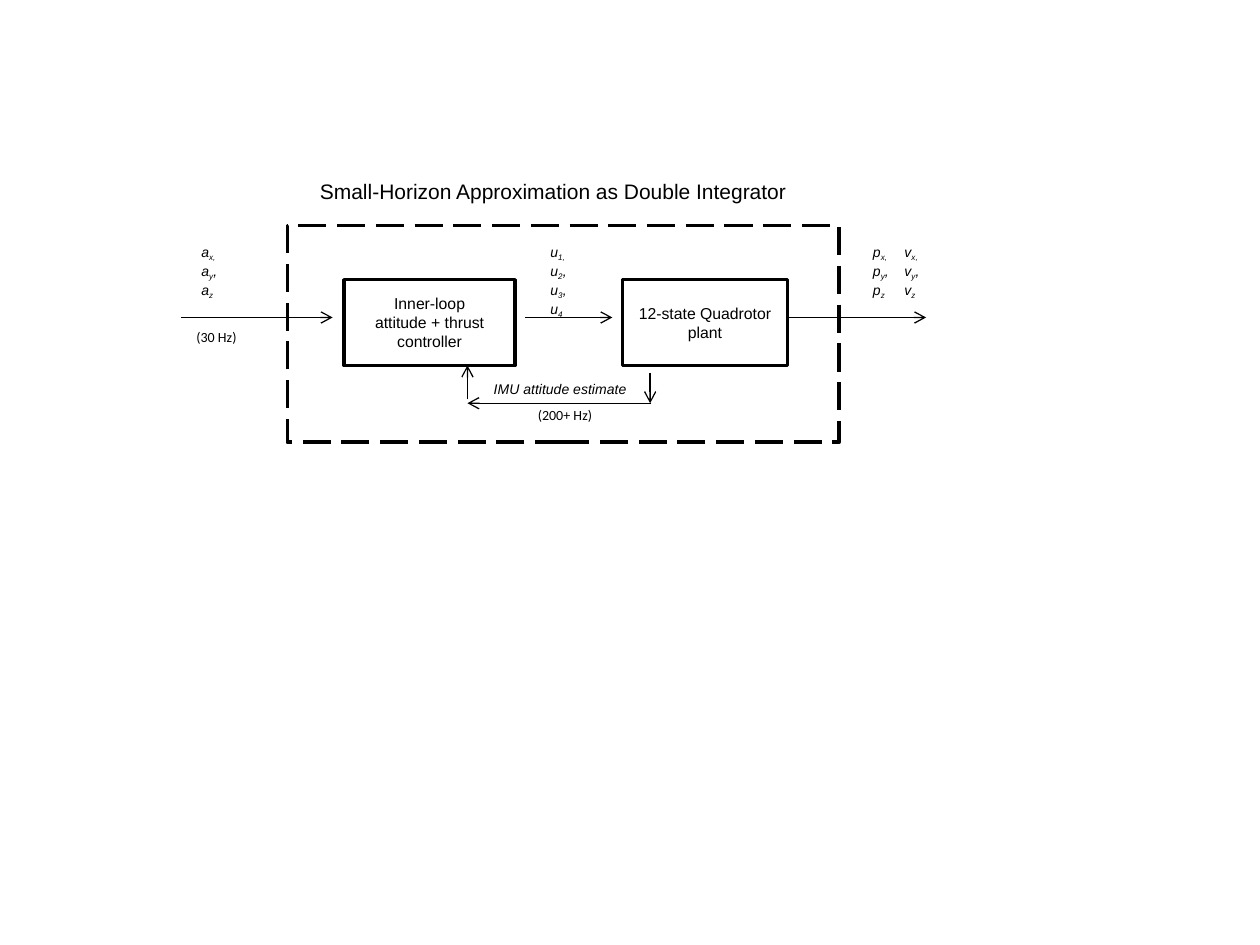
from pptx import Presentation
from pptx.dml.color import RGBColor
from pptx.enum.dml import MSO_LINE
from pptx.enum.shapes import MSO_CONNECTOR, MSO_SHAPE
from pptx.enum.text import MSO_ANCHOR, MSO_AUTO_SIZE, PP_ALIGN
from pptx.oxml.ns import qn
from pptx.util import Pt
from lxml.etree import SubElement

SCALE = 9144  # EMU per px, 100 px to the inch
COLORS = {"ink": "000000", "paper": "FFFFFF"}


def px(*vals):
    return [val * SCALE for val in vals]


def hue(name):
    return RGBColor.from_string(COLORS[name])


class Board:
    """Holds the style and the current slide."""
    face = "Arial"
    thin, thick = Pt(0.75), Pt(2)

    def __init__(self, slide):
        self.slide = slide

    def label(self, frame, lines, size, face=None, slant=None, align=None):
        """Fill a frame; every second part between bars is a subscript."""
        for num, line in enumerate(lines):
            para = frame.add_paragraph() if num else frame.paragraphs[0]
            para.alignment = align
            font = para.font
            font.name, font.size, font.italic = face or self.face, Pt(size), slant
            font.color.rgb = hue("ink")
            for spot, part in enumerate(line.split("|")):
                if part:
                    run = para.add_run()
                    run.text = part
                    if spot % 2:
                        run.font._element.set("baseline", "-25000")

    def text(self, box, lines, size=8, wrap=True, **style):
        frame = self.slide.shapes.add_textbox(*px(*box)).text_frame
        frame.word_wrap = wrap
        frame.auto_size = MSO_AUTO_SIZE.SHAPE_TO_FIT_TEXT
        self.label(frame, lines, size, **style)

    def rect(self, box):
        shape = self.slide.shapes.add_shape(MSO_SHAPE.RECTANGLE, *px(*box))
        shape.shadow.inherit = False
        shape.line.color.rgb = hue("ink")
        shape.line.width = self.thick
        return shape

    def block(self, box, lines):
        shape = self.rect(box)
        shape.fill.solid()
        shape.fill.fore_color.rgb = hue("paper")
        shape.text_frame.word_wrap = True
        shape.text_frame.vertical_anchor = MSO_ANCHOR.MIDDLE
        self.label(shape.text_frame, lines, 9, align=PP_ALIGN.CENTER)

    def border(self, box):
        shape = self.rect(box)
        shape.fill.background()
        shape.line.dash_style = MSO_LINE.LONG_DASH

    def arrow(self, *ends):
        link = self.slide.shapes.add_connector(MSO_CONNECTOR.STRAIGHT, *px(*ends))
        link.line.color.rgb = hue("ink")
        link.line.width = self.thin
        SubElement(link.line._get_or_add_ln(), qn("a:tailEnd"), type="arrow")
        SubElement(link._element.spPr, qn("a:effectLst"))


def main():
    deck = Presentation()
    deck.slide_width, deck.slide_height = px(1000, 750)
    board = Board(deck.slides.add_slide(deck.slide_layouts[6]))

    # Controller and plant
    board.block((273, 222, 136, 68), ["Inner-loop", "attitude + thrust controller"])
    board.block((494, 222, 131, 68), ["12-state Quadrotor", "plant"])

    # Forward signals
    flow = 252
    for start, end in ((144, 264), (417, 486), (624, 735)):
        board.arrow(start, flow, end, flow)

    # Feedback loop
    board.arrow(517, 320, 371, 320)
    board.arrow(516, 296, 516, 320)
    board.arrow(371, 317, 371, 290)
    board.text((382, 297, 141, 24), ["IMU attitude estimate"], slant=True)

    # Dashed frame and its title
    board.border((228, 179, 438, 172))
    board.text((244, 137, 395, 30),
               ["Small-Horizon Approximation as Double Integrator"],
               size=12, wrap=False)

    # Signal names
    board.text((427, 188, 40, 64), ["u|1,| u|2|, u|3|, u|4"], slant=True)
    for left, name in ((150, "a"), (683, "p"), (708, "v")):
        axes = [name + axis for axis in ("|x,", "|y|,", "|z")]
        board.text((left, 188, 40, 50), axes, slant=True)

    # Rates
    for box, rate in (((146, 256, 52, 24), "(30 Hz)"),
                      ((417, 318, 64, 24), "(200+ Hz)")):
        board.text(box, [rate], wrap=False, face="Calibri")

    deck.save("out.pptx")


if __name__ == "__main__":
    main()
